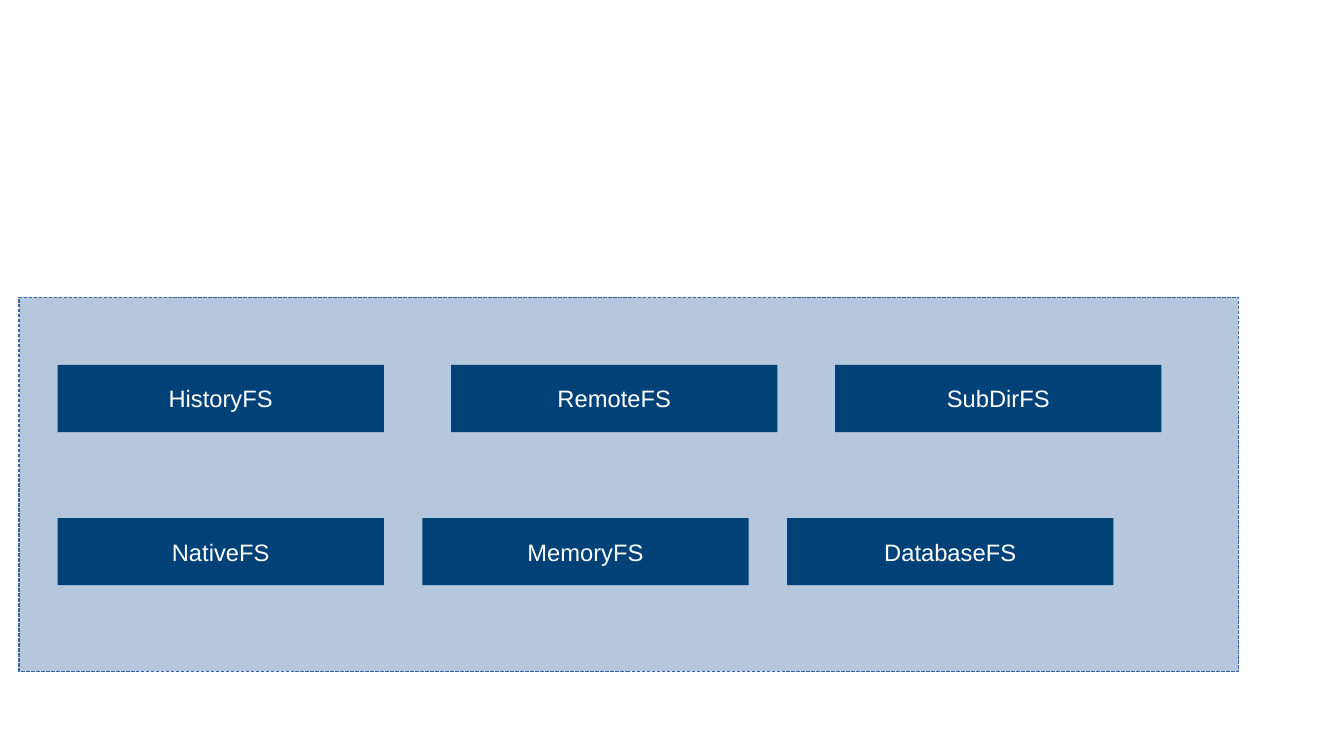
"""Build a slide showing six file systems in a dashed panel."""
from dataclasses import dataclass

from pptx import Presentation
from pptx.dml.color import RGBColor
from pptx.enum.dml import MSO_LINE
from pptx.enum.shapes import MSO_SHAPE
from pptx.enum.text import MSO_ANCHOR, PP_ALIGN
from pptx.util import Pt


@dataclass(frozen=True)
class Theme:
    """Colours and type for the slide."""
    panel: str = "B4C7DC"
    border: str = "3465A4"
    block: str = "004277"
    label: str = "FFFFFF"
    font: str = "Arial"
    label_size: float = 14


THEME = Theme()
BLOCK_WIDTH, BLOCK_HEIGHT = 192.75, 39.7
FIRST_LEFT = 34
EVEN_STEP = 215.4
WRAPPER_LEFTS = (FIRST_LEFT, 266.4, 493.2)
STORAGE_LEFTS = tuple(FIRST_LEFT + EVEN_STEP * column for column in range(3))
ROWS = (
    (305.9, STORAGE_LEFTS, ("NativeFS", "MemoryFS", "DatabaseFS")),
    (215.4, WRAPPER_LEFTS, ("HistoryFS", "RemoteFS", "SubDirFS")),
)


def add_rectangle(slide, left, top, width, height, color):
    """Add a flat filled rectangle without an outline."""
    rectangle = slide.shapes.add_shape(
        MSO_SHAPE.RECTANGLE, Pt(left), Pt(top), Pt(width), Pt(height))
    rectangle.shadow.inherit = False
    rectangle.fill.solid()
    rectangle.fill.fore_color.rgb = RGBColor.from_string(color)
    rectangle.line.fill.background()
    return rectangle


def write_text(frame, text, *, size, color, font, align=PP_ALIGN.CENTER):
    """Write one formatted paragraph in a text frame."""
    frame.word_wrap = False
    frame.vertical_anchor = MSO_ANCHOR.MIDDLE
    paragraph = frame.paragraphs[0]
    paragraph.alignment = align
    run = paragraph.add_run()
    run.text = text
    run.font.size = Pt(size)
    run.font.name = font
    run.font.color.rgb = RGBColor.from_string(color)


def add_panel(slide):
    """Add the panel with its dashed hairline border."""
    panel = add_rectangle(slide, 11.3, 175.5, 720, 221, THEME.panel)
    panel.line.color.rgb = RGBColor.from_string(THEME.border)
    panel.line.width = Pt(0)
    panel.line.dash_style = MSO_LINE.SQUARE_DOT


def add_file_system(slide, name, left, top):
    """Add one labelled file system block."""
    block = add_rectangle(
        slide, left, top, BLOCK_WIDTH, BLOCK_HEIGHT, THEME.block)
    write_text(block.text_frame, name, size=THEME.label_size,
               color=THEME.label, font=THEME.font)


def main():
    """Build and save the presentation."""
    presentation = Presentation()
    presentation.slide_width = Pt(793.7)
    presentation.slide_height = Pt(446.4)
    slide = presentation.slides.add_slide(presentation.slide_layouts[6])
    add_panel(slide)
    for top, lefts, names in ROWS:
        for left, name in zip(lefts, names):
            add_file_system(slide, name, left, top)
    presentation.save("out.pptx")


if __name__ == "__main__":
    main()
